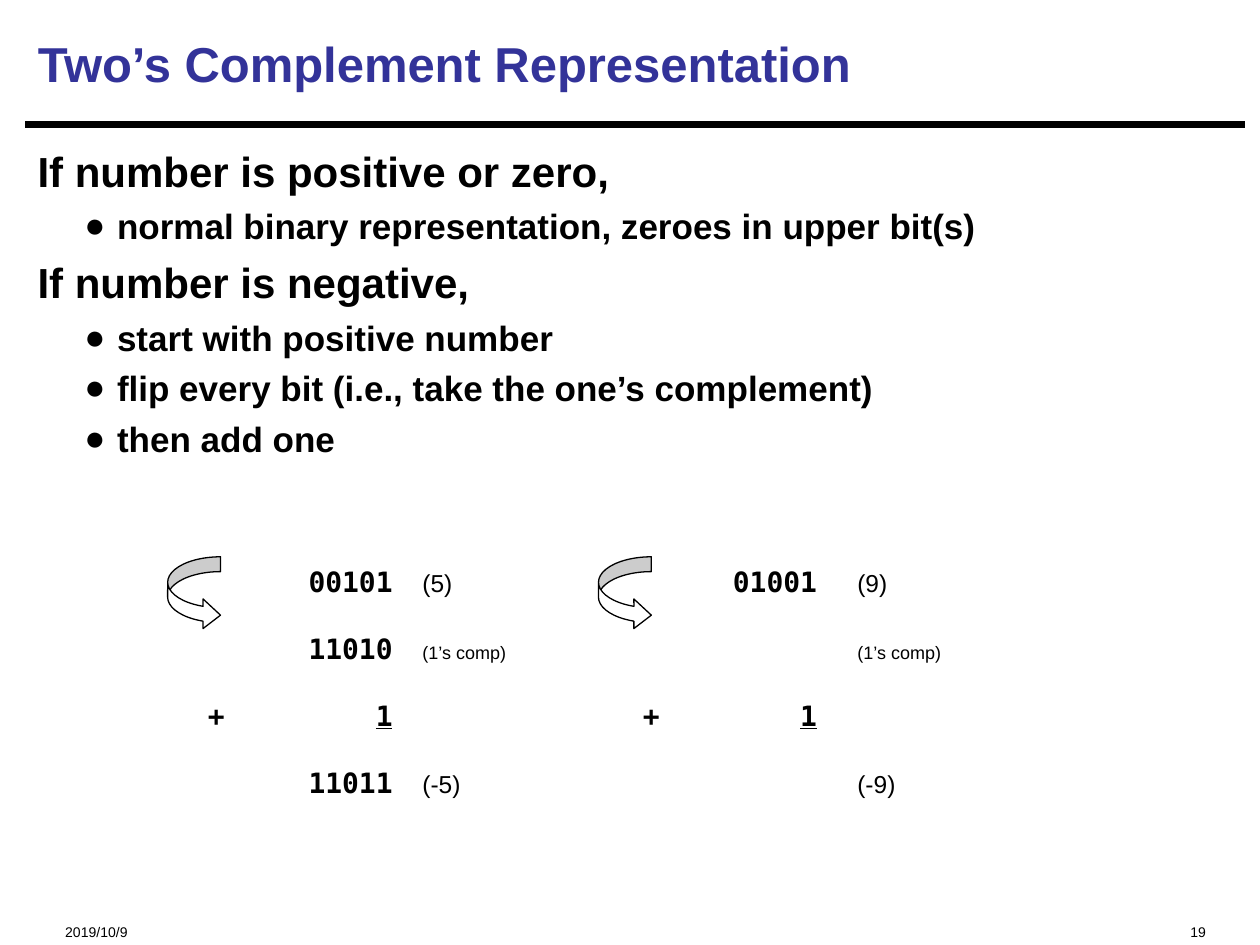
"""Build the slide on two's complement representation."""
from lxml.etree import SubElement
from pptx import Presentation
from pptx.dml.color import RGBColor
from pptx.enum.shapes import MSO_CONNECTOR, MSO_SHAPE
from pptx.enum.text import MSO_ANCHOR, PP_ALIGN
from pptx.oxml.ns import qn
from pptx.util import Pt

COLORS = {"title": "333399", "text": "000000", "fill": "FFFFFF"}


def style(font, size, name="Arial", bold=False, color="text"):
    font.size, font.name, font.bold = Pt(size), name, bold
    font.color.rgb = RGBColor.from_string(COLORS[color])


def add_text(left, top, width, height):
    tf = s.shapes.add_textbox(Pt(left), Pt(top), Pt(width), Pt(height)).text_frame
    tf.word_wrap = True
    return tf


prs = Presentation()
prs.slide_width, prs.slide_height = Pt(720), Pt(540)
s = prs.slides.add_slide(prs.slide_layouts[5])

rule = s.shapes.add_connector(MSO_CONNECTOR.STRAIGHT, Pt(14.4), Pt(71.3), Pt(711.4), Pt(71.3))
rule.line.width = Pt(3.75)
rule.line.color.rgb = RGBColor.from_string(COLORS["text"])
SubElement(rule._element.spPr, qn("a:effectLst"))

footers = [("2019/10/9", 30.2, 180, PP_ALIGN.LEFT), ("19", 480.2, 216, PP_ALIGN.RIGHT)]
for text, left, width, align in footers:
    tf = add_text(left, 514.8, width, 22.6)
    tf.vertical_anchor = MSO_ANCHOR.BOTTOM
    tf.margin_top = tf.margin_bottom = 0
    tf.text = text
    p = tf.paragraphs[0]
    p.alignment = align
    style(p.runs[0].font, 8)

title = s.shapes.title
title.left, title.top, title.width, title.height = Pt(14.4), Pt(5.8), Pt(696.2), Pt(60.5)
tf = title.text_frame
tf.text = "Two’s Complement Representation"
tf.vertical_anchor = MSO_ANCHOR.MIDDLE
p = tf.paragraphs[0]
p.alignment = PP_ALIGN.LEFT
style(p.runs[0].font, 28, bold=True, color="title")

body = [
    (0, "If number is positive or zero,"),
    (1, "normal binary representation, zeroes in upper bit(s)"),
    (0, "If number is negative,"),
    (1, "start with positive number"),
    (1, "flip every bit (i.e., take the one’s complement)"),
    (1, "then add one"),
]
tf = add_text(14.4, 77, 696.2, 431.3)
tf.margin_top = Pt(6)
for i, (level, text) in enumerate(body):
    p = tf.add_paragraph() if i else tf.paragraphs[0]
    p.text = text
    p.level = level
    p.space_before = Pt(6 - level if i else 0)
    if level:
        pPr = p._p.get_or_add_pPr()
        pPr.set("marL", str(Pt(45.4)))
        pPr.set("indent", str(Pt(-18.7)))
        SubElement(pPr, qn("a:buFont"), typeface="Arial")
        SubElement(pPr, qn("a:buChar"), char="●")
    style(p.runs[0].font, 20 if level else 24, bold=True)

tabs = [(34, "l"), (139.5, "r"), (156.5, "l"), (282.5, "l"), (382, "r"), (405, "l")]
sums = [
    ["", "00101", "(5)", "", "01001", "(9)"],
    ["", "11010", "(1’s comp)", "", "", "(1’s comp)"],
    ["+", "1", "", "+", "1"],
    ["", "11011", "(-5)", "", "", "(-9)"],
]
tf = add_text(77.8, 300.2, 563.8, 160.4)
for i, cells in enumerate(sums):
    p = tf.add_paragraph() if i else tf.paragraphs[0]
    p.line_spacing = Pt(38.3)
    tab_list = SubElement(p._p.get_or_add_pPr(), qn("a:tabLst"))
    for pos, align in tabs:
        SubElement(tab_list, qn("a:tab"), pos=str(Pt(pos)), algn=align)
    for cell in cells:
        r = p.add_run()
        r.text = "\t"
        style(r.font, 16, "DejaVu Sans Mono")
        if not cell:
            continue
        r = p.add_run()
        r.text = cell
        if cell.startswith("("):
            style(r.font, 10.3 if "comp" in cell else 14)
        else:
            style(r.font, 16, "DejaVu Sans Mono", True)
            r.font.underline = cell == "1"

for left in (95.8, 342):
    sp = s.shapes.add_shape(MSO_SHAPE.CURVED_RIGHT_ARROW, Pt(left), Pt(318.2), Pt(30.2), Pt(41.8))
    for i, value in enumerate((0.28, 0.56, 0.33)):
        sp.adjustments[i] = value
    sp.shadow.inherit = False
    sp.fill.solid()
    sp.fill.fore_color.rgb = RGBColor.from_string(COLORS["fill"])
    sp.line.color.rgb = RGBColor.from_string(COLORS["text"])
    sp.line.width = Pt(0.75)

prs.save("out.pptx")
